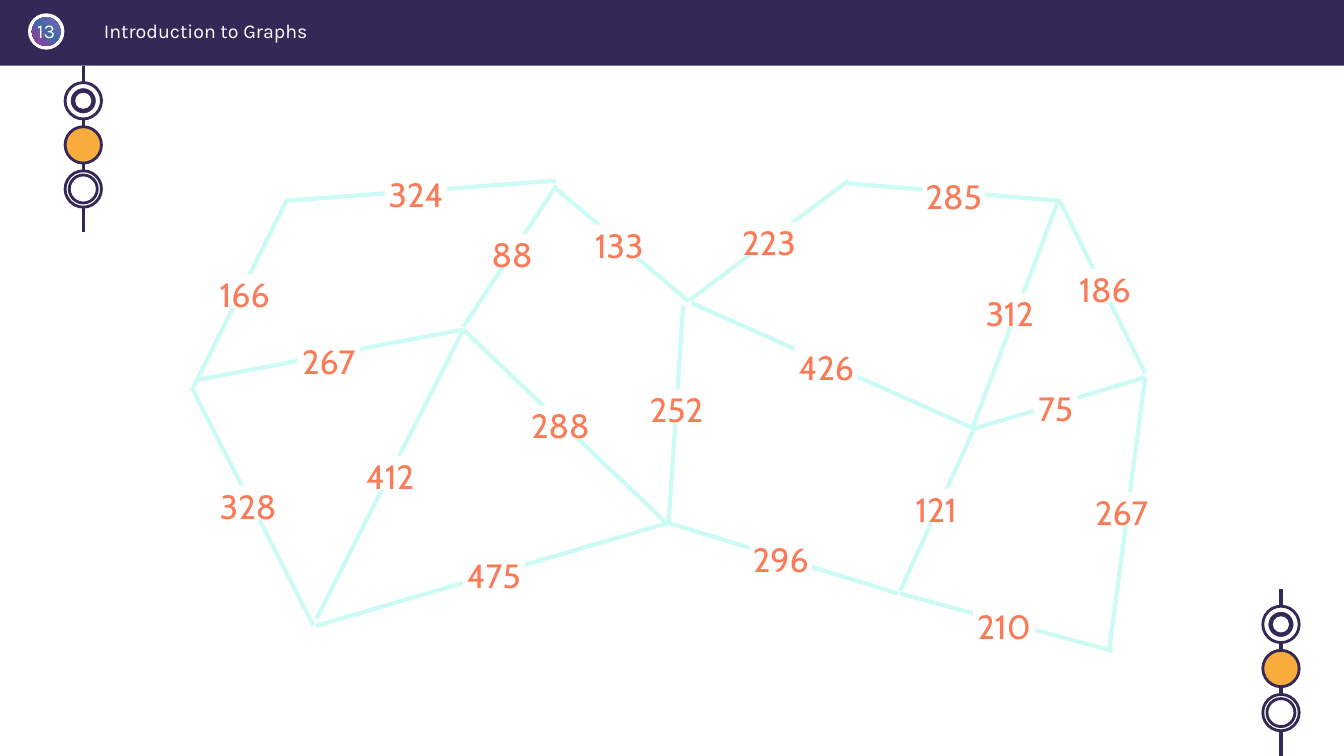
from copy import deepcopy
from dataclasses import dataclass

from lxml.etree import SubElement
from pptx import Presentation
from pptx.dml.color import RGBColor as Rgb
from pptx.enum.shapes import MSO_CONNECTOR as Link, MSO_SHAPE as Kind
from pptx.enum.text import MSO_ANCHOR as Anchor, MSO_AUTO_SIZE as Fit, PP_ALIGN as Align
from pptx.oxml.ns import qn
from pptx.util import Pt


@dataclass(frozen=True)
class Theme:
    navy: str = "342956"
    white: str = "FFFFFF"
    gold: str = "F7AC3B"
    mint: str = "00EFD1"
    coral: str = "F97B57"
    badge: tuple = (("7864B5", 0), ("4269A5", 0.49), ("B2329A", 1))
    small: int = 14
    large: int = 24


theme = Theme()
deck = Presentation()
deck.slide_width, deck.slide_height = Pt(960), Pt(540)
slide = deck.slides.add_slide(deck.slide_layouts[5])
shapes = slide.shapes


def draw(kind, x, y, w, h, fill, edge=None):
    shape = shapes.add_shape(kind, Pt(x), Pt(y), Pt(w), Pt(h))
    shape.shadow.inherit = False
    shape.fill.solid()
    shape.fill.fore_color.rgb = Rgb.from_string(fill)
    if edge:
        shape.line.color.rgb = Rgb.from_string(edge)
        shape.line.width = Pt(2)
    else:
        shape.line.fill.background()
    return shape


def write(shape, text, face, size, color, align, **form):
    frame = shape.text_frame
    frame.text = text
    for key, val in form.items():
        setattr(frame, key, val)
    para = frame.paragraphs[0]
    para.alignment = align
    for key, val in {"name": face, "size": Pt(size), "bold": False}.items():
        setattr(para.font, key, val)
    para.font.color.rgb = Rgb.from_string(color)


flush = {"margin_left": 0, "margin_right": 0, "margin_top": 0, "margin_bottom": 0}

# Header bar and title
draw(Kind.RECTANGLE, 0, 0, 960, 47, theme.navy)
title = shapes.title
shapes._spTree.append(title._element)
for key, val in {"left": 67, "top": 11.5, "width": 404, "height": 21.5}.items():
    setattr(title, key, Pt(val))
write(title, "Introduction to Graphs", "Karla", theme.small, theme.white, Align.LEFT,
      vertical_anchor=Anchor.MIDDLE, auto_size=Fit.NONE, word_wrap=True)

# Page badge
draw(Kind.OVAL, 20, 9.5, 26, 26, theme.white)
disc = draw(Kind.OVAL, 22.75, 12.25, 20.5, 20.5, theme.navy)
disc.fill.gradient()
disc.fill.gradient_angle = 225
stops = disc.fill._fill._gradFill.gsLst
stops.append(deepcopy(stops[-1]))
for stop, (color, place) in zip(disc.fill.gradient_stops, theme.badge):
    stop.color.rgb = Rgb.from_string(color)
    stop.position = place
page = shapes.add_textbox(Pt(20), Pt(13.75), Pt(26), Pt(17))
write(page, "13", "Karla", theme.small, theme.white, Align.CENTER,
      word_wrap=True, **flush)

# Bead chains and graph edges share one line list: start, end, color, width
chains = [(59.5, 47), (915, 421)]
# Bead: drop from the chain's top, diameter, fill, edge
beads = [
    (25, 26, theme.white, theme.navy),
    (25, 20, theme.navy, theme.white),
    (25, 11.5, theme.white, None),
    (88, 26, theme.white, theme.navy),
    (88, 20, theme.white, theme.navy),
    (56.5, 26, theme.gold, theme.navy),
]
# Edge: start, end, weight, label corner
edges = [
    (330, 235.5, 140.5, 271.5, "267", 212.5, 243.5),
    (226, 447, 477.5, 373.5, "475", 330.5, 396.5),
    (477.5, 373.5, 641.5, 424, "296", 535.5, 385),
    (331, 235.5, 477.5, 375, "288", 378, 289.5),
    (488, 218, 477.5, 375, "252", 461, 278),
    (203, 143.5, 397.5, 129, "324", 275, 124.5),
    (331, 233.5, 397.5, 132.5, "88", 343.5, 167),
    (138, 277, 204.5, 143.5, "166", 152.5, 196),
    (224, 447, 137, 277, "328", 155, 347),
    (331, 235.5, 226, 442, "412", 256.5, 325.5),
    (492.5, 214.5, 606, 129, "223", 527, 158.5),
    (605.5, 131, 758, 143.5, "285", 659, 125.5),
    (818, 266.5, 757.5, 144.5, "186", 767, 192),
    (695, 304.5, 755.5, 144.5, "312", 699, 209.5),
    (695, 306.5, 818, 269.5, "75", 738.5, 277),
    (792.5, 463.5, 818, 269.5, "267", 779, 351.5),
    (795, 465, 643, 424, "210", 695, 432.5),
    (695, 308, 643, 422, "121", 646.5, 349),
    (492, 215.5, 396.5, 134, "133", 420, 160.5),
    (695.5, 306, 494, 216.5, "426", 568, 247.5),
]
lines = [((x, y, x, y + 119), theme.navy, 2.25) for x, y in chains]
lines += [(edge[:4], theme.mint, 3) for edge in edges]
for ends, color, width in lines:
    line = shapes.add_connector(Link.STRAIGHT, *map(Pt, ends))
    line.line.color.rgb = Rgb.from_string(color)
    line.line.width = Pt(width)
    SubElement(line._element.spPr, qn("a:effectLst"))

# Beads on the chains
for x, y in chains:
    for drop, size, fill, edge in beads:
        draw(Kind.OVAL, x - size / 2, y + drop - size / 2, size, size, fill, edge)

# Veil that pales the edges
veil = draw(Kind.RECTANGLE, 106.5, 80, 747.5, 434, theme.white)
tint = veil.fill._xPr.find(qn("a:solidFill"))[0]
SubElement(tint, qn("a:alpha"), val="80000")

# Edge weights
for *ends, weight, x, y in edges:
    wide = 31 if weight == "75" else 44.5
    label = draw(Kind.RECTANGLE, x, y, wide, 24, theme.white)
    write(label, weight, "Cabin", theme.large, theme.coral, Align.CENTER,
          vertical_anchor=Anchor.TOP, auto_size=Fit.SHAPE_TO_FIT_TEXT,
          word_wrap=True, **flush)

deck.save("out.pptx")
